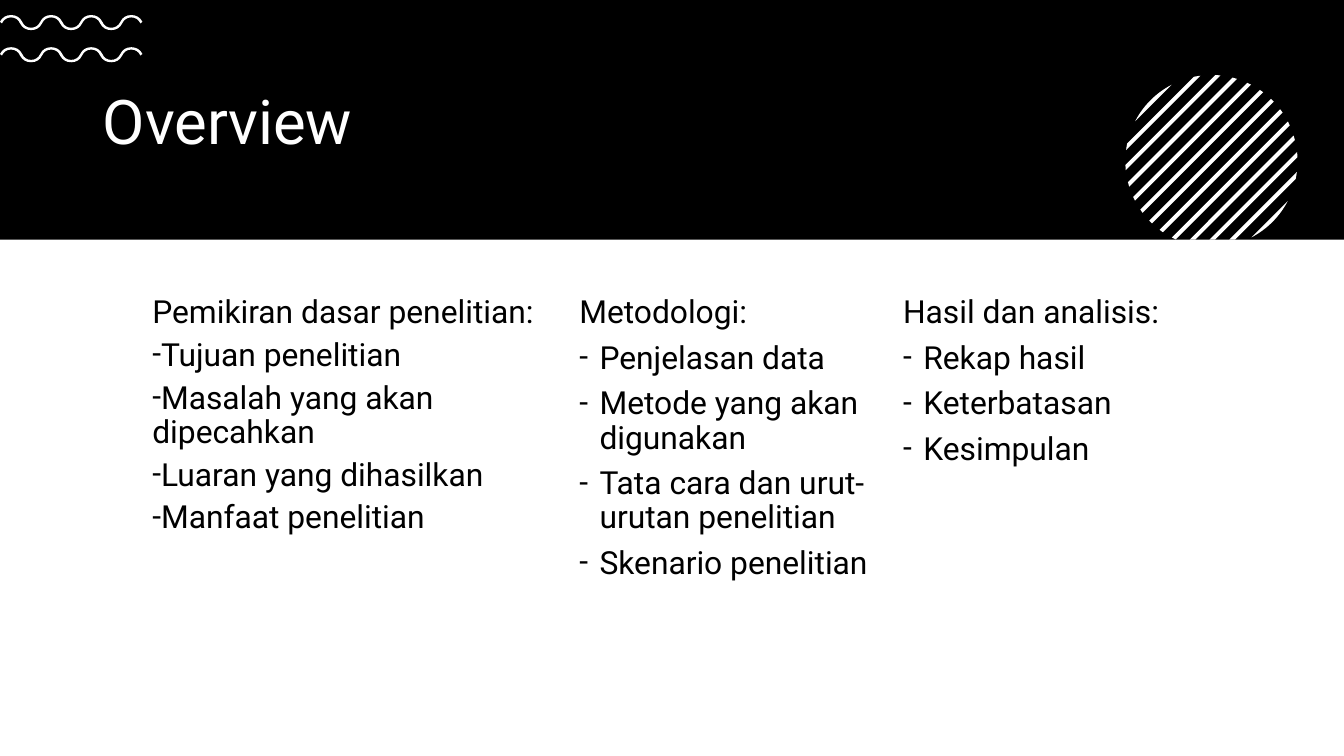
import math

from lxml import etree
from pptx import Presentation
from pptx.dml.color import RGBColor
from pptx.enum.shapes import MSO_SHAPE
from pptx.enum.text import MSO_ANCHOR
from pptx.oxml.ns import qn
from pptx.util import Cm, Pt

BLACK = RGBColor(0, 0, 0)
WHITE = RGBColor(255, 255, 255)
RECTANGLE = MSO_SHAPE.RECTANGLE
TOP, MIDDLE = MSO_ANCHOR.TOP, MSO_ANCHOR.MIDDLE
FONT = "Roboto"
PAGE_WIDTH, PAGE_HEIGHT = 33.87, 19.05
BAND_HEIGHT = 6.04

# Left, width, bullet indent, space before, space after, lines
COLUMNS = [
    (3.59, 10.39, 0, 0, 6, [
        "Pemikiran dasar penelitian:", "Tujuan penelitian",
        "Masalah yang akan dipecahkan", "Luaran yang dihasilkan",
        "Manfaat penelitian"]),
    (14.35, 8.15, 0.51, 8, 0, [
        "Metodologi:", "Penjelasan data", "Metode yang akan digunakan",
        "Tata cara dan urut-urutan penelitian", "Skenario penelitian"]),
    (22.51, 7.09, 0.51, 8, 0, [
        "Hasil dan analisis:", "Rekap hasil", "Keterbatasan", "Kesimpulan"]),
]


def paint(shape, color):
    shape.fill.solid()
    shape.fill.fore_color.rgb = color
    shape.line.fill.background()
    shape.shadow.inherit = False


def add_bullet(para, indent):
    properties = para._p.get_or_add_pPr()
    properties.set("marL", str(Cm(indent)))
    properties.set("indent", str(-Cm(indent)))
    etree.SubElement(properties, qn("a:buFont")).set("typeface", FONT)
    etree.SubElement(properties, qn("a:buChar")).set("char", "-")


def add_text(page, box, lines, *, size, color, anchor=TOP, indent=0, before=0, after=0):
    """Write lines in a box; every line after the first is a dash item."""
    frame = page.shapes.add_textbox(*map(Cm, box)).text_frame
    frame.word_wrap = True
    frame.vertical_anchor = anchor
    for index, line in enumerate(lines):
        para = frame.add_paragraph() if index else frame.paragraphs[0]
        if index:
            add_bullet(para, indent)
            para.space_before = Pt(before)
        para.space_after = Pt(after)
        para.line_spacing = 0.9
        span = para.add_run()
        span.text = line
        span.font.name = FONT
        span.font.size = Pt(size)
        span.font.color.rgb = color


def add_outline(group, start, segments, color):
    """Draw segments: one point makes a line, three points make a curve."""
    points = [(Cm(x), Cm(y)) for segment in segments for x, y in segment]
    builder = group.shapes.build_freeform(Cm(start[0]), Cm(start[1]), scale=1.0)
    builder.add_line_segments(points, close=True)
    shape = builder.convert_to_shape()
    steps = iter(list(shape._element.iter(qn("a:lnTo"))))
    for segment in segments:
        first, *others = [next(steps) for _ in segment]
        if others:
            first.tag = qn("a:cubicBezTo")
            for step in others:
                first.append(step[0])
                step.getparent().remove(step)
    paint(shape, color)


def wave_edge(left, middle, side, lobes):
    """Start and curves of one edge; side is -1 for upper, 1 for lower."""
    curves, start = [], None
    node = middle + side * 0.02
    for lobe in lobes[::-side]:
        bend = 1 if lobe % 2 else -1
        half, reach = (0.28, 0.19) if bend == side else (0.23, 0.13)
        half *= -side
        center, peak = left + 0.28 + 0.505 * lobe, middle + bend * reach
        shoulder = node + 0.65 * (peak - node)
        start = start or (center - half, node)
        curves += [
            [(center - 0.8 * half, shoulder), (center - 0.45 * half, peak), (center, peak)],
            [(center + 0.45 * half, peak), (center + 0.8 * half, shoulder),
             (center + half, node)]]
    return start, curves


def add_waves(page, left, top, gap):
    """Two wavy ribbons of seven lobes each."""
    group = page.shapes.add_group_shape()
    for row in range(2):
        middle = top + 0.19 + row * gap
        start, upper = wave_edge(left, middle, -1, range(7))
        turn, lower = wave_edge(left, middle, 1, range(7))
        add_outline(group, start, upper + [[turn]] + lower, WHITE)


def add_striped_circle(page, center_x, center_y, radius, bottom):
    """Diagonal stripes clipped by a circle and by a bottom edge."""
    group = page.shapes.add_group_shape()
    pitch, half_width = 0.5 / math.sqrt(2), 0.05

    def place(angle, scale=0.0):
        x, y = math.cos(angle), math.sin(angle)
        return (center_x + radius * (x - scale * y),
                center_y + radius * (y + scale * x))

    def arc(begin, end):
        scale = 4 / 3 * math.tan((end - begin) / 4)
        return [place(begin, scale), place(end, -scale), place(end)]

    def clip(point):
        x, y = point
        excess = max(0, y - bottom)
        return x + excess, y - excess

    for stripe in range(-6, 7):
        near, far = [
            math.acos(max(-1, min(1, (stripe * pitch + shift) / radius)))
            for shift in (-half_width, half_width)]
        axis = math.pi / 4
        low_far, low_near = place(axis + far), place(axis + near)
        if max(low_far[1], low_near[1]) > bottom:
            lower_end = [clip(low_near)]
        else:
            lower_end = arc(axis + far, axis + near)
        segments = [arc(axis - near, axis - far), [clip(low_far)], lower_end]
        add_outline(group, place(axis - near), segments, WHITE)


def add_header(page, width, height):
    band = page.shapes.add_shape(RECTANGLE, 0, 0, Cm(width), Cm(height))
    paint(band, BLACK)
    add_text(page, (2.34, 1.57, 29.21, 3.12), ["Overview"],
             size=44, color=WHITE, anchor=MIDDLE)
    add_waves(page, left=0, top=0.38, gap=0.81)
    add_striped_circle(page, width - 3.34, 4.06, 2.17, bottom=height)


def add_columns(page, top, height):
    for left, width, indent, before, after, lines in COLUMNS:
        add_text(page, (left, top, width, height), lines, size=22.7, color=BLACK,
                 indent=indent, before=before, after=after)


def main():
    deck = Presentation()
    deck.slide_width, deck.slide_height = Cm(PAGE_WIDTH), Cm(PAGE_HEIGHT)
    page = deck.slides.add_slide(deck.slide_layouts[6])
    add_header(page, PAGE_WIDTH, BAND_HEIGHT)
    add_columns(page, top=7.34, height=9.83)
    deck.save("out.pptx")


if __name__ == "__main__":
    main()
